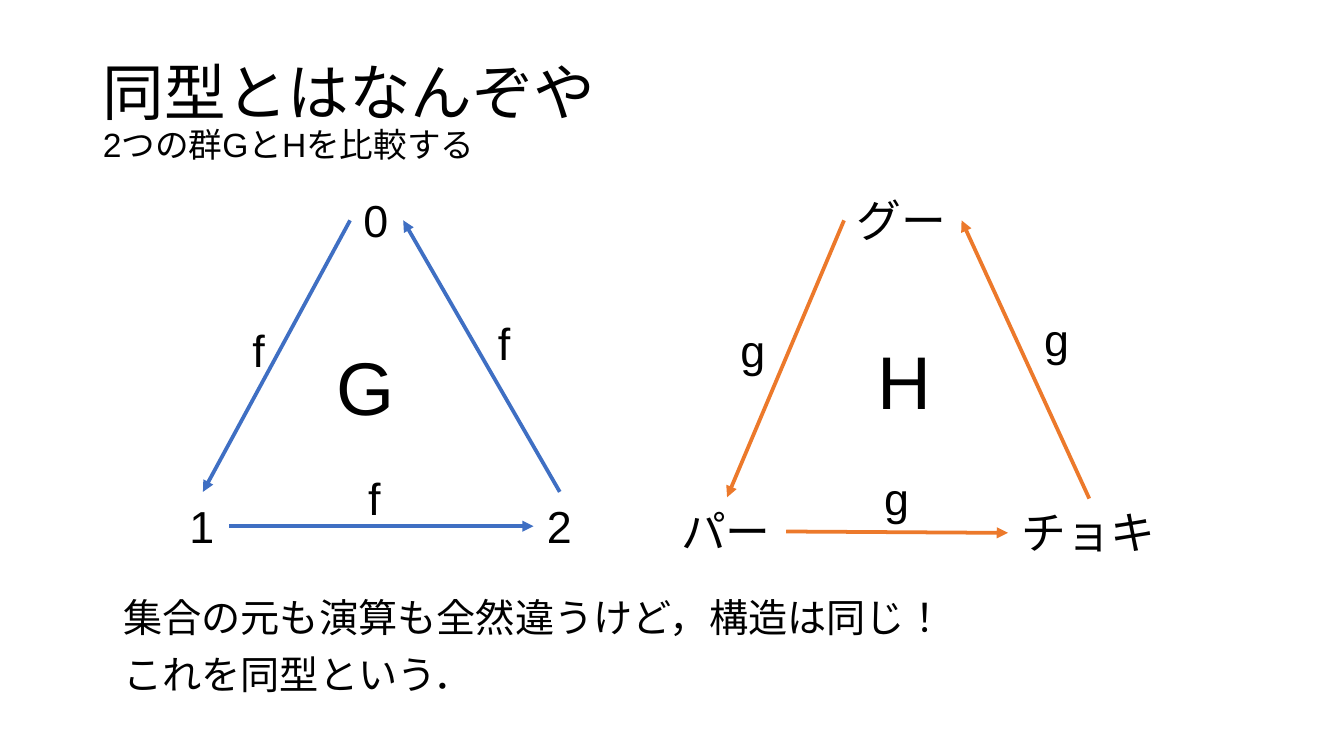
from lxml.etree import SubElement
from pptx import Presentation
from pptx.dml.color import RGBColor
from pptx.enum.lang import MSO_LANGUAGE_ID
from pptx.enum.shapes import MSO_CONNECTOR
from pptx.enum.text import MSO_ANCHOR, MSO_AUTO_SIZE
from pptx.oxml.ns import qn
from pptx.util import Emu, Pt

PX = 4572
BLACK = RGBColor(0x00, 0x00, 0x00)
BLUE = RGBColor(0x3F, 0x6F, 0xC3)
ORANGE = RGBColor(0xEC, 0x79, 0x2B)

deck = Presentation()
deck.slide_width, deck.slide_height = Emu(2000 * PX), Emu(1125 * PX)
page = deck.slides.add_slide(deck.slide_layouts[6])


def add_text(text, left, top, width, height, sizes):
    box = page.shapes.add_textbox(*(Emu(n * PX) for n in (left, top, width, height)))
    frame = box.text_frame
    frame.text = text
    for para in frame.paragraphs:
        for span, size in zip(para.runs, sizes):
            span.font.name = "Arial"
            span.font.size = Pt(size)
            span.font.color.rgb = BLACK
            span.font.language_id = MSO_LANGUAGE_ID.JAPANESE
    return frame


def add_arrow(start, end, color):
    arrow = page.shapes.add_connector(
        MSO_CONNECTOR.STRAIGHT, *(Emu(n * PX) for n in start + end))
    arrow.line.color.rgb = color
    arrow.line.width = Pt(2)
    SubElement(arrow.line._get_or_add_ln(), qn("a:tailEnd"), type="triangle")
    SubElement(arrow._element.spPr, qn("a:effectLst"))


title = add_text("同型とはなんぞや\v2つの群GとHを比較する", 138, 60, 1724, 218, [33, 18])
title.vertical_anchor = MSO_ANCHOR.MIDDLE
body = add_text("集合の元も演算も全然違うけど，構造は同じ！\nこれを同型という．", 138, 883, 1724, 158, [21])

for frame in (title, body):
    frame.word_wrap = True
    frame.margin_left = frame.margin_right = Emu(15 * PX)
    frame.margin_top = frame.margin_bottom = Emu(8 * PX)
    for para in frame.paragraphs:
        para.line_spacing = 0.9
for para in body.paragraphs:
    para._p.get_or_add_pPr().set("marL", str(30 * PX))
body.paragraphs[1].space_before = Pt(8)

arrows = [
    ((521, 328), (302, 732), BLUE),
    ((341, 783), (794, 783), BLUE),
    ((833, 732), (600, 328), BLUE),
    ((1256, 328), (1082, 740), ORANGE),
    ((1170, 791), (1500, 793), ORANGE),
    ((1621, 742), (1431, 328), ORANGE),
]
for start, end, color in arrows:
    add_arrow(start, end, color)

labels = [
    ("0", 521, 277, 78), ("1", 262, 732, 78), ("2", 794, 732, 78),
    ("グー", 1255, 277, 176), ("パー", 994, 740, 176), ("チョキ", 1500, 742, 242),
    ("f", 356, 470, 58), ("f", 528, 691, 58), ("f", 721, 460, 58),
    ("g", 1082, 470, 78), ("g", 1296, 691, 78), ("g", 1534, 454, 78),
    ("G", 481, 498, 128), ("H", 1286, 489, 122),
]
for text, left, top, width in labels:
    height, size = (154, 40) if text in "GH" else (100, 24)
    label = add_text(text, left, top, width, height, [size])
    label.word_wrap = False
    label.auto_size = MSO_AUTO_SIZE.SHAPE_TO_FIT_TEXT

deck.save("out.pptx")
